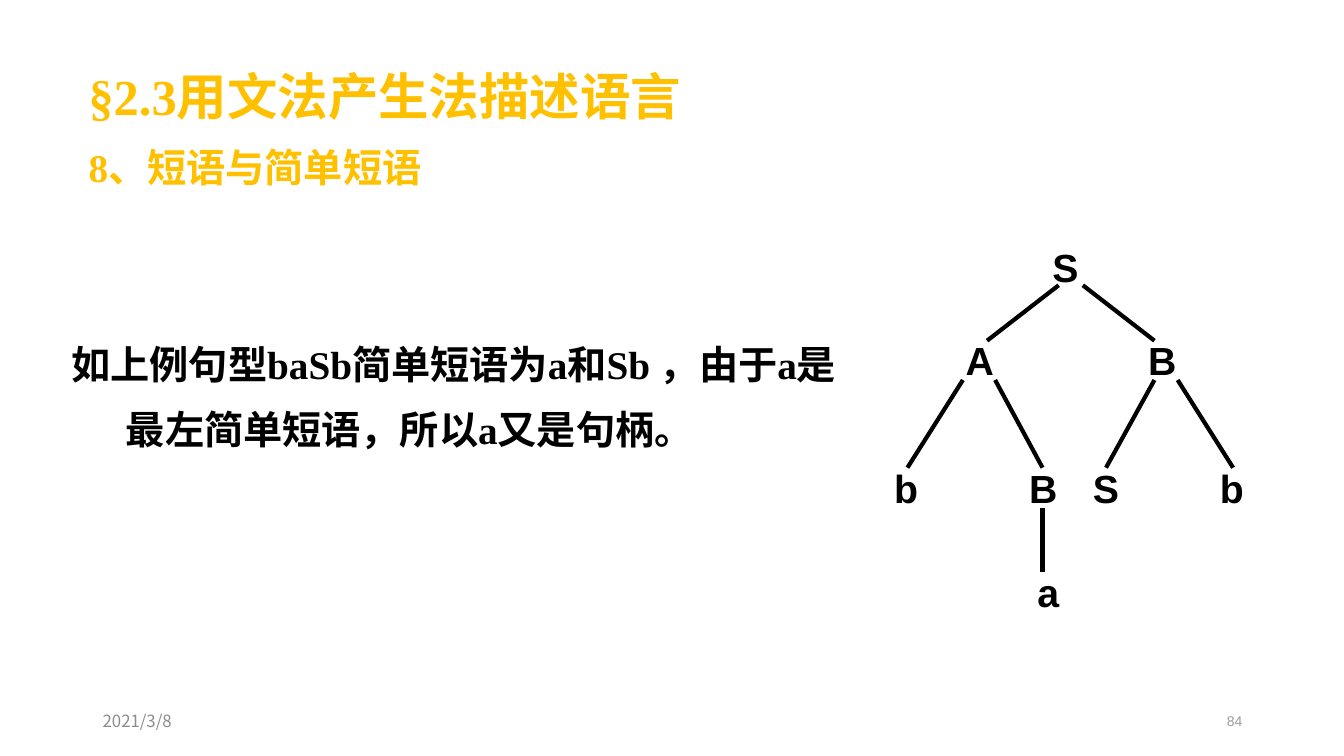
"""Build the slide on phrases and simple phrases with its parse tree."""
from lxml import etree
from pptx import Presentation
from pptx.dml.color import RGBColor
from pptx.enum.shapes import MSO_CONNECTOR
from pptx.enum.text import MSO_ANCHOR, PP_ALIGN
from pptx.oxml.ns import qn
from pptx.util import Pt

PX = 9144
LINE = MSO_CONNECTOR.STRAIGHT
TOP, MID = MSO_ANCHOR.TOP, MSO_ANCHOR.MIDDLE
LEFT, RIGHT = PP_ALIGN.LEFT, PP_ALIGN.RIGHT
SERIF, SANS, HAN = "Times New Roman", "Arial", "Noto Sans CJK SC"
COLORS = {"ink": "000000", "gold": "FFC000", "date": "8C8C8C", "page": "9B9A98"}


class Board:
    """Hold the style and the current slide."""

    def __init__(self, deck):
        self.slide = deck.slides.add_slide(deck.slide_layouts[6])

    def color(self, name):
        return RGBColor.from_string(COLORS[name])

    def box(self, left, top, width, height, anchor=TOP):
        shape = self.slide.shapes.add_textbox(
            left * PX, top * PX, width * PX, height * PX)
        frame = shape.text_frame
        frame.word_wrap = True
        frame.vertical_anchor = anchor
        return frame

    def run(self, para, text, size, font, color, bold):
        run = para.add_run()
        run.text = text
        run.font.size = Pt(size)
        run.font.bold = bold
        run.font.color.rgb = self.color(color)
        run.font.name = font
        east = etree.SubElement(run.font._element, qn("a:ea"))
        east.set("typeface", HAN)

    def label(self, area, text, size, font, color, bold=False,
              align=LEFT, anchor=TOP):
        para = self.box(*area, anchor).paragraphs[0]
        para.alignment = align
        self.run(para, text, size, font, color, bold)

    def block(self, area, color, rows):
        frame = self.box(*area)
        for i, (text, size, margin, indent) in enumerate(rows):
            para = frame.add_paragraph() if i else frame.paragraphs[0]
            para.line_spacing = 1.2
            para.space_before = Pt(6 if i else 0)
            props = para._p.get_or_add_pPr()
            props.set("marL", str(margin * PX))
            props.set("indent", str(indent * PX))
            self.run(para, text, size, SERIF, color, True)

    def node(self, text, left, top):
        self.label((left, top, 63, 57), text, 28, SANS, "ink", True)

    def edge(self, *ends):
        line = self.slide.shapes.add_connector(LINE, *(v * PX for v in ends))
        line.line.color.rgb = self.color("ink")
        line.line.width = Pt(3)
        etree.SubElement(line._element.spPr, qn("a:effectLst"))


def main():
    deck = Presentation()
    deck.slide_width, deck.slide_height = 1333 * PX, 750 * PX
    board = Board(deck)

    board.block((74, 48, 967, 166), "gold", [
        ("§2.3用文法产生法描述语言", 36, 46, -42),
        ("8、短语与简单短语", 28, 46, -42)])
    board.block((57, 323, 818, 161), "ink", [
        ("如上例句型baSb简单短语为a和Sb ，由于a是", 28, 46, -42),
        ("最左简单短语，所以a又是句柄。", 28, 58, 0)])

    tree = [
        (236, [("S", 1034)]),
        (329, [("A", 948), ("B", 1129)]),
        (456, [("b", 877), ("B", 1011), ("S", 1074), ("b", 1200)]),
        (559, [("a", 1019)])]
    for top, nodes in tree:
        for text, left in nodes:
            board.node(text, left, top)

    edges = [
        (283, 338, [(1050, 979), (1074, 1145)]),
        (377, 464, [(955, 900), (987, 1034), (1145, 1097), (1168, 1223)]),
        (504, 567, [(1034, 1034)])]
    for top, end, spans in edges:
        for start, stop in spans:
            board.edge(start, top, stop, end)

    board.label((92, 695, 300, 40), "2021/3/8", 12, HAN, "date", anchor=MID)
    board.label((942, 695, 300, 40), "84", 10, SANS, "page",
                align=RIGHT, anchor=MID)
    deck.save("out.pptx")


if __name__ == "__main__":
    main()
